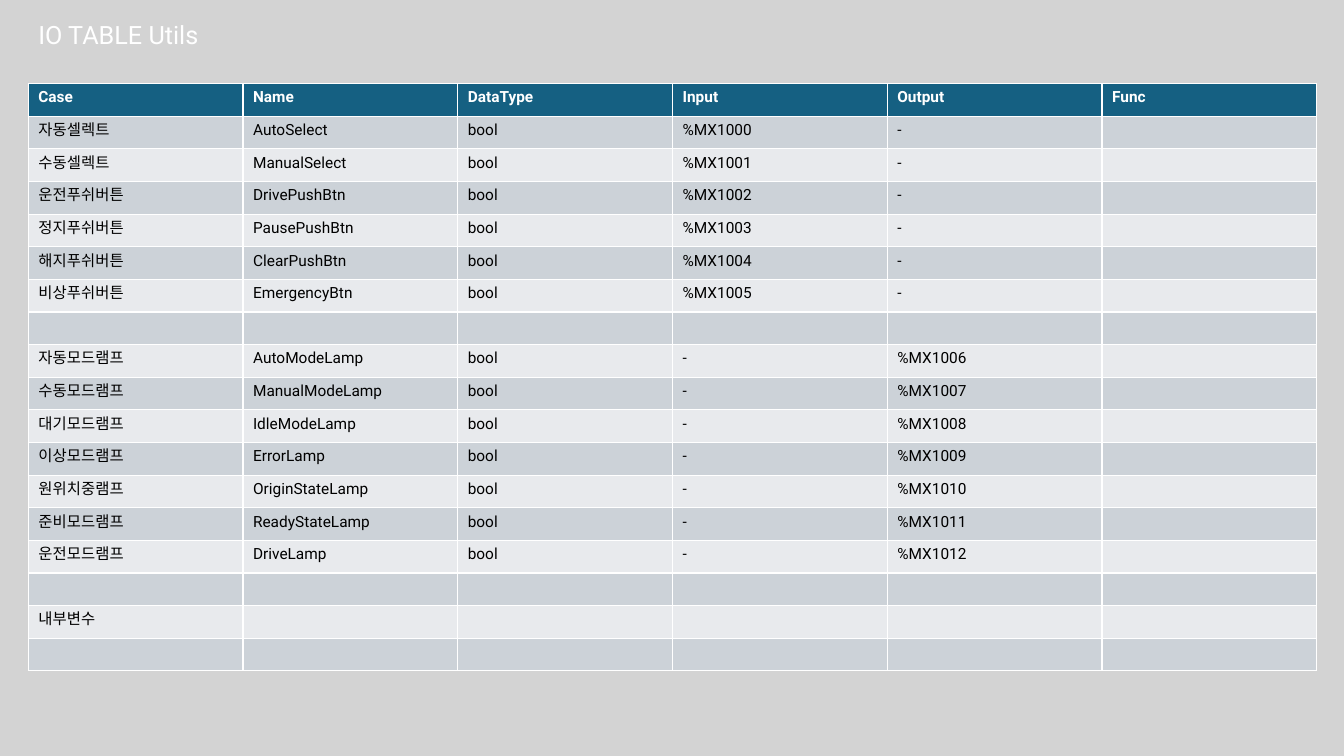
"""Build the IO table slide for the PLC utility signals."""
from lxml.etree import SubElement
from pptx import Presentation
from pptx.dml.color import RGBColor
from pptx.enum.text import MSO_ANCHOR, PP_ALIGN
from pptx.oxml.ns import qn
from pptx.util import Inches, Pt

BACKGROUND = RGBColor(0xD3, 0xD3, 0xD3)
HEADER = RGBColor(0x15, 0x60, 0x82)
BAND_DARK = RGBColor(0xCC, 0xD2, 0xD8)
BAND_LIGHT = RGBColor(0xE8, 0xEA, 0xED)
WHITE = RGBColor(0xFF, 0xFF, 0xFF)
BLACK = RGBColor(0x00, 0x00, 0x00)
FONT = "Roboto"

headings = ["Case", "Name", "DataType", "Input", "Output", "Func"]
inputs = [
    ("자동셀렉트", "AutoSelect"),
    ("수동셀렉트", "ManualSelect"),
    ("운전푸쉬버튼", "DrivePushBtn"),
    ("정지푸쉬버튼", "PausePushBtn"),
    ("해지푸쉬버튼", "ClearPushBtn"),
    ("비상푸쉬버튼", "EmergencyBtn"),
]
outputs = [
    ("자동모드램프", "AutoModeLamp"),
    ("수동모드램프", "ManualModeLamp"),
    ("대기모드램프", "IdleModeLamp"),
    ("이상모드램프", "ErrorLamp"),
    ("원위치중램프", "OriginStateLamp"),
    ("준비모드램프", "ReadyStateLamp"),
    ("운전모드램프", "DriveLamp"),
]
blank = [""] * len(headings)
signals = [headings]
for address, (case, name) in enumerate(inputs, 1000):
    signals.append([case, name, "bool", f"%MX{address}", "-", ""])
signals.append(blank)
for address, (case, name) in enumerate(outputs, 1000 + len(inputs)):
    signals.append([case, name, "bool", "-", f"%MX{address}", ""])
signals += [blank, ["내부변수"] + blank[1:], blank]


def add_text(paragraph, text, size, color, bold=False):
    run = paragraph.add_run()
    run.text = text
    run.font.name = FONT
    run.font.size = Pt(size)
    run.font.bold = bold
    run.font.color.rgb = color
    SubElement(run.font._element, qn("a:ea"), typeface=FONT)


deck = Presentation()
deck.slide_width, deck.slide_height = Inches(13.33), Inches(7.5)
slide = deck.slides.add_slide(deck.slide_layouts[5])
slide.background.fill.solid()
slide.background.fill.fore_color.rgb = BACKGROUND

heading = slide.shapes.title
heading.left, heading.top = Inches(0.28), Inches(0.14)
heading.width, heading.height = Inches(12.78), Inches(0.42)
heading.text_frame.vertical_anchor = MSO_ANCHOR.TOP
heading.text_frame.paragraphs[0].alignment = PP_ALIGN.LEFT
add_text(heading.text_frame.paragraphs[0], "IO TABLE Utils", 18, WHITE)

io_table = slide.shapes.add_table(
    len(signals), len(headings),
    Inches(0.28), Inches(0.83), Inches(12.78), Inches(5.83),
).table
for row, signal in enumerate(signals):
    is_header = row == 0
    band = HEADER if is_header else BAND_DARK if row % 2 else BAND_LIGHT
    for column, text in enumerate(signal):
        cell = io_table.cell(row, column)
        cell.fill.solid()
        cell.fill.fore_color.rgb = band
        paragraph = cell.text_frame.paragraphs[0]
        if text:
            add_text(paragraph, text, 11, WHITE if is_header else BLACK, is_header)
        else:
            SubElement(paragraph._p, qn("a:endParaRPr"), sz="1100")

deck.save("out.pptx")
